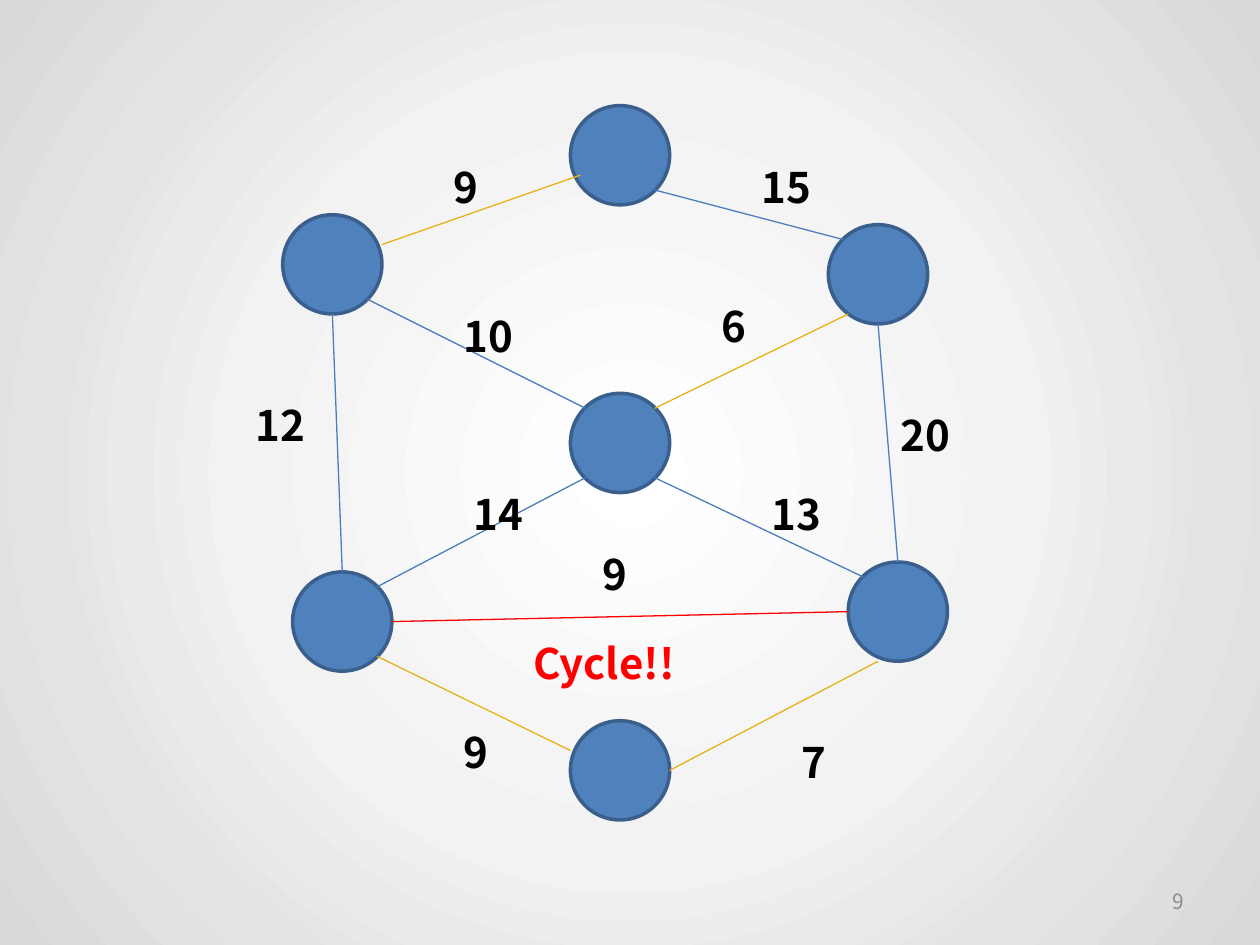
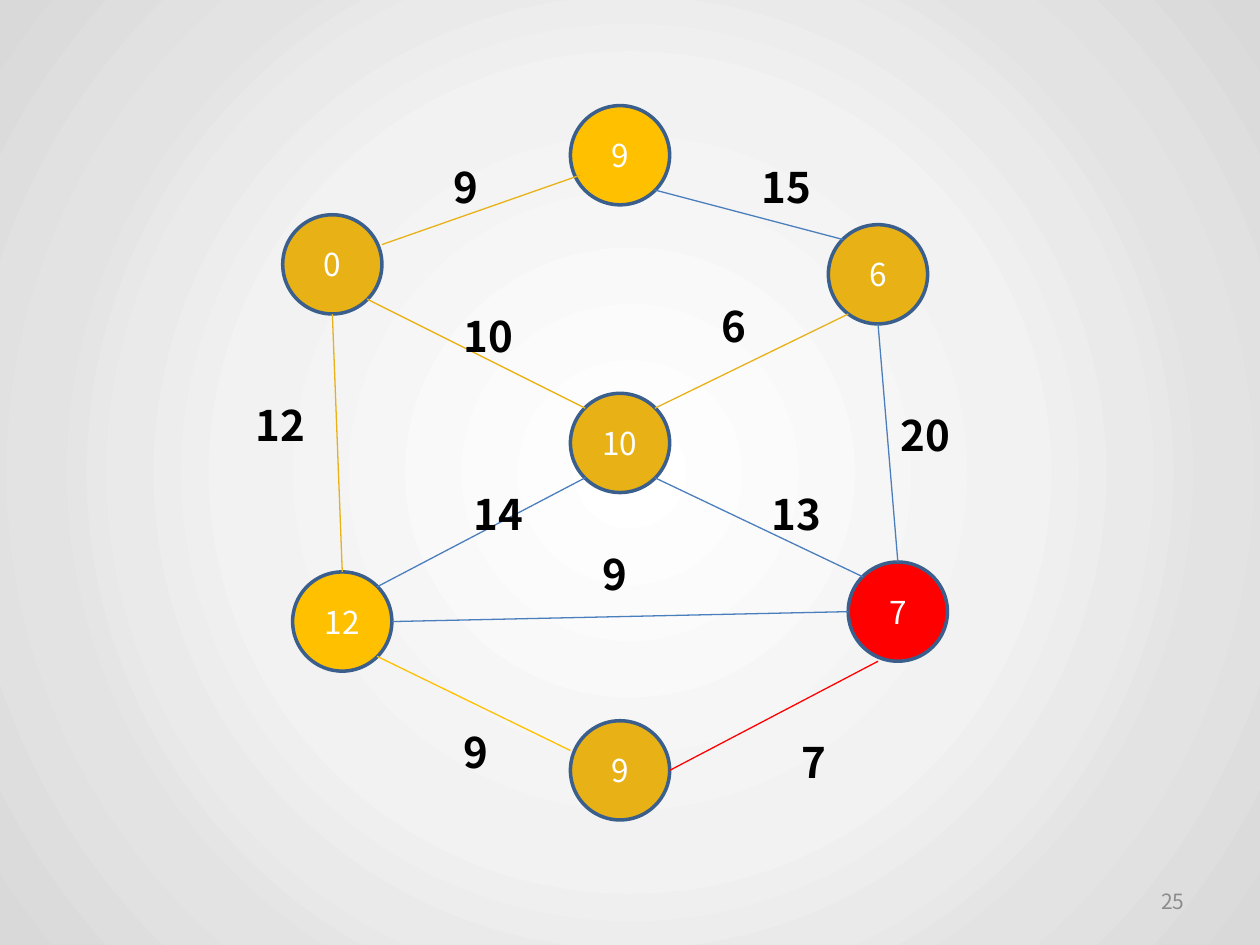
from collections import namedtuple
from dataclasses import dataclass

from lxml.etree import SubElement
from pptx import Presentation
from pptx.dml.color import RGBColor
from pptx.enum.shapes import MSO_CONNECTOR as Connector, MSO_SHAPE as Shape
from pptx.enum.text import MSO_ANCHOR as Anchor, MSO_AUTO_SIZE as AutoSize, PP_ALIGN as Align
from pptx.oxml.ns import qn
from pptx.util import Inches, Mm, Pt


@dataclass(frozen=True)
class Theme:
    font: str = "Noto Sans CJK KR"
    blue: str = "4F81BD"
    outline: str = "3A5F8C"
    edge: str = "4B7EBC"
    gold: str = "E8B116"
    amber: str = "FFC000"
    red: str = "FF0000"
    black: str = "000000"
    white: str = "FFFFFF"
    grey: str = "8C8C8C"
    backdrop: tuple = ((0, "FFFFFF"), (50, "F2F2F2"), (64, "EAEAEA"), (74, "E3E3E3"), (100, "D9D9D9"))
    weight_size: int = 24
    node_size: int = 18
    number_size: int = 12
    outline_width: float = 2
    edge_width: float = 0.75


THEME = Theme()
Edge = namedtuple("Edge", "start start_at end end_at weight column row columns")

CELL = Mm(2)
GRAPH_ORIGIN = (Mm(49), Mm(21.3))
NODE_CELLS = 10
LABEL_HEIGHT = Inches(0.5)

# Node name: column and row of its upper left corner.
NODES = {
    "top": (33, 0), "upper left": (4, 11), "upper right": (59, 12), "centre": (33, 29),
    "lower left": (5, 47), "lower right": (61, 46), "bottom": (33, 62),
}

# Connection sites of an ellipse, in preset order, as shares of its box.
NEAR, FAR = 0.15, 0.85
SITES = {
    "N": (0.5, 0), "NW": (NEAR, NEAR), "W": (0, 0.5), "SW": (NEAR, FAR),
    "S": (0.5, 1), "SE": (FAR, FAR), "E": (1, 0.5), "NE": (FAR, NEAR),
}
SITE_NAMES = list(SITES)

# An end is a site name, or a free point given as shares of the node's box.
EDGES = [
    Edge("upper left", (1, 0.3), "top", (0.1, 0.7), "9", 20, 5, 6),
    Edge("centre", "NE", "upper right", (0.2, 0.9), "6", 47, 19, 6),
    Edge("lower left", "NE", "centre", "SW", "14", 22, 38, 9),
    Edge("lower left", "N", "upper left", "S", "12", 0, 29, 9),
    Edge("top", "SE", "upper right", "NW", "15", 51, 5, 9),
    Edge("lower right", "N", "upper right", "S", "20", 65, 30, 9),
    Edge("lower left", "SE", "bottom", (0, 0.3), "9", 21, 62, 6),
    Edge("bottom", "E", "lower right", (0.3, 1), "7", 55, 63, 6),
    Edge("lower left", "E", "lower right", "W", "9", 35, 44, 6),
    Edge("upper left", "SE", "centre", "NW", "10", 21, 20, 8),
    Edge("centre", "SE", "lower right", "NW", "13", 52, 38, 9),
]


def rgb(code):
    return RGBColor.from_string(code)


def write(shape, text, *, size, color, bold=False, align=Align.LEFT,
          anchor=Anchor.TOP, fit=AutoSize.NONE):
    frame = shape.text_frame
    frame.word_wrap = True
    frame.auto_size = fit
    frame.vertical_anchor = anchor
    para = frame.paragraphs[0]
    para.alignment = align
    span = para.add_run()
    span.text = text
    span.font.name = THEME.font
    span.font.size = Pt(size)
    span.font.bold = bold
    span.font.color.rgb = rgb(color)


def paint_backdrop(master):
    """Give every slide the radial grey gradient."""
    master.background.fill.gradient()
    gradient = master.element.find(".//" + qn("a:gradFill"))
    for child in list(gradient):
        gradient.remove(child)
    stops = SubElement(gradient, qn("a:gsLst"))
    for share, color in THEME.backdrop:
        stop = SubElement(stops, qn("a:gs"), pos=str(share * 1000))
        SubElement(stop, qn("a:srgbClr"), val=color)
    circle = SubElement(gradient, qn("a:path"), path="circle")
    SubElement(circle, qn("a:fillToRect"), dict.fromkeys("ltrb", "50000"))


def grid_point(origin, column, row):
    return origin[0] + round(column * CELL), origin[1] + round(row * CELL)


def add_node(page, origin, name, fill, value):
    side = NODE_CELLS * CELL
    node = page.shapes.add_shape(Shape.OVAL, *grid_point(origin, *NODES[name]), side, side)
    node.shadow.inherit = False
    node.fill.solid()
    node.fill.fore_color.rgb = rgb(fill)
    node.line.color.rgb = rgb(THEME.outline)
    node.line.width = Pt(THEME.outline_width)
    if value:
        write(node, value, size=THEME.node_size, color=THEME.white,
              align=Align.CENTER, anchor=Anchor.MIDDLE)
    return node


def end_point(node, place):
    across, down = SITES.get(place, place)
    return node.left + round(across * node.width), node.top + round(down * node.height)


def add_edge(page, nodes, edge, color):
    ends = [("a:stCxn", nodes[edge.start], edge.start_at), ("a:endCxn", nodes[edge.end], edge.end_at)]
    points = [value for _, node, place in ends for value in end_point(node, place)]
    line = page.shapes.add_connector(Connector.STRAIGHT, *points)
    line.line.color.rgb = rgb(color)
    line.line.width = Pt(THEME.edge_width)
    SubElement(line.element.spPr, qn("a:effectLst"))
    # python-pptx knows four sites; an ellipse has eight.
    joints = line.element.find(".//" + qn("p:cNvCxnSpPr"))
    for tag, node, place in ends:
        if place in SITES:
            SubElement(joints, qn(tag), id=str(node.shape_id), idx=str(SITE_NAMES.index(place)))


def add_label(page, origin, text, column, row, columns, color=THEME.black):
    label = page.shapes.add_textbox(*grid_point(origin, column, row), columns * CELL, LABEL_HEIGHT)
    write(label, text, size=THEME.weight_size, color=color, bold=True, fit=AutoSize.SHAPE_TO_FIT_TEXT)


def add_graph(page, origin, node_styles, edge_colors):
    """Draw the graph; node_styles maps a name to its fill and value."""
    nodes = {name: add_node(page, origin, name, *node_styles.get(name, (THEME.blue, "")))
             for name in NODES}
    for edge in EDGES:
        add_edge(page, nodes, edge, edge_colors.get((edge.start, edge.end), THEME.edge))
    for edge in EDGES:
        add_label(page, origin, edge.weight, edge.column, edge.row, edge.columns)


def add_page_number(page, deck, number):
    width, height = deck.slide_width, deck.slide_height
    box = page.shapes.add_textbox(round(width * 0.717), round(height * 0.927),
                                  round(width * 0.233), round(height * 0.053))
    write(box, number, size=THEME.number_size, color=THEME.grey,
          align=Align.RIGHT, anchor=Anchor.MIDDLE)


def add_graph_page(deck, number, node_styles, edge_colors):
    page = deck.slides.add_slide(deck.slide_layouts[6])
    add_page_number(page, deck, number)
    add_graph(page, GRAPH_ORIGIN, node_styles, edge_colors)
    return page


def main():
    deck = Presentation()
    deck.slide_width, deck.slide_height = Inches(10), Inches(7.5)
    paint_backdrop(deck.slide_master)

    cycle_page = add_graph_page(deck, "9", {}, {
        ("upper left", "top"): THEME.gold,
        ("centre", "upper right"): THEME.gold,
        ("lower left", "bottom"): THEME.gold,
        ("bottom", "lower right"): THEME.gold,
        ("lower left", "lower right"): THEME.red,
    })
    add_label(cycle_page, GRAPH_ORIGIN, "Cycle!!", 28, 53, 21, THEME.red)

    add_graph_page(deck, "25", {
        "top": (THEME.amber, "9"),
        "upper left": (THEME.gold, "0"),
        "upper right": (THEME.gold, "6"),
        "centre": (THEME.gold, "10"),
        "lower left": (THEME.amber, "12"),
        "lower right": (THEME.red, "7"),
        "bottom": (THEME.gold, "9"),
    }, {
        ("upper left", "top"): THEME.gold,
        ("centre", "upper right"): THEME.gold,
        ("lower left", "upper left"): THEME.gold,
        ("upper left", "centre"): THEME.gold,
        ("lower left", "bottom"): THEME.amber,
        ("bottom", "lower right"): THEME.red,
    })
    deck.save("out.pptx")


if __name__ == "__main__":
    main()
